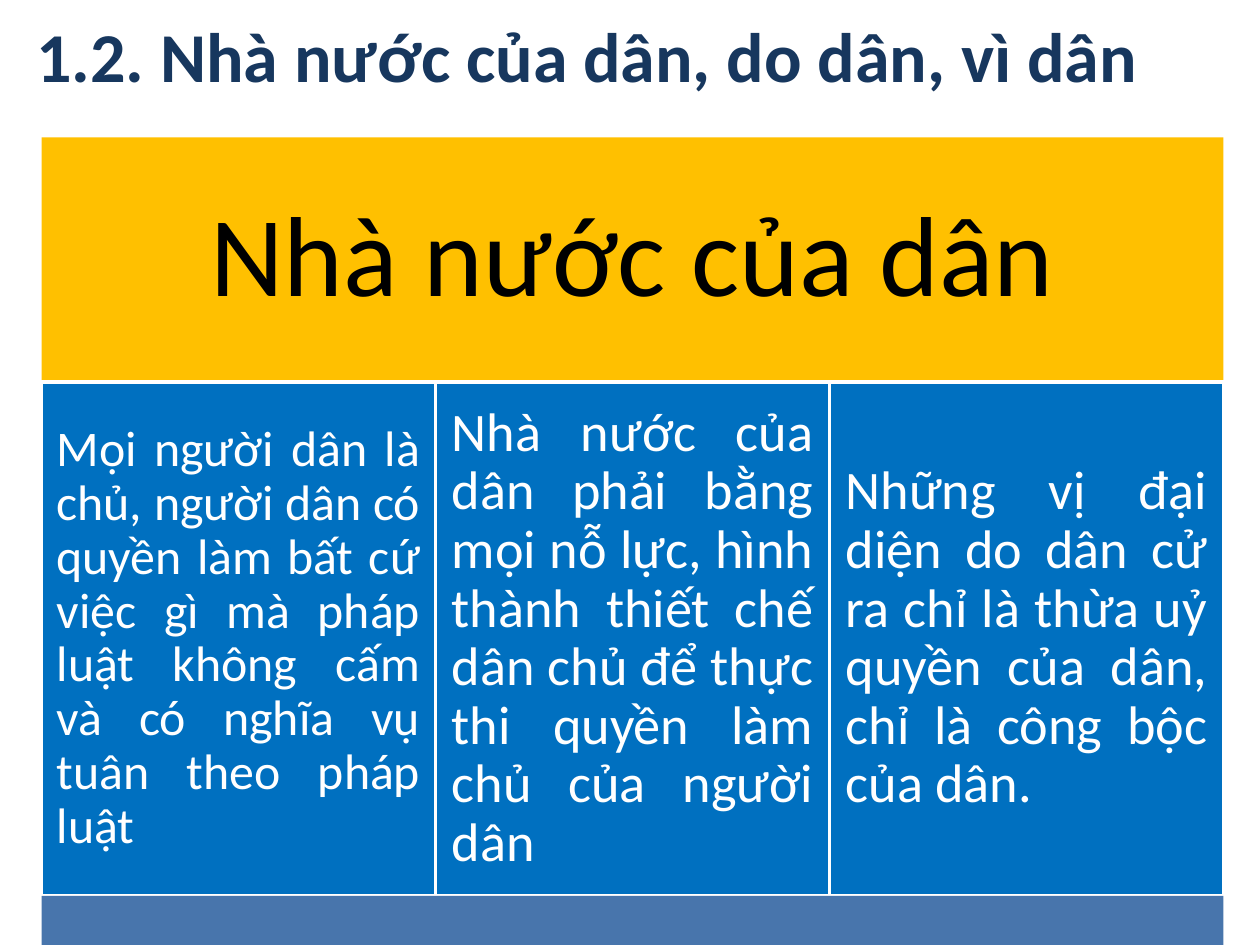
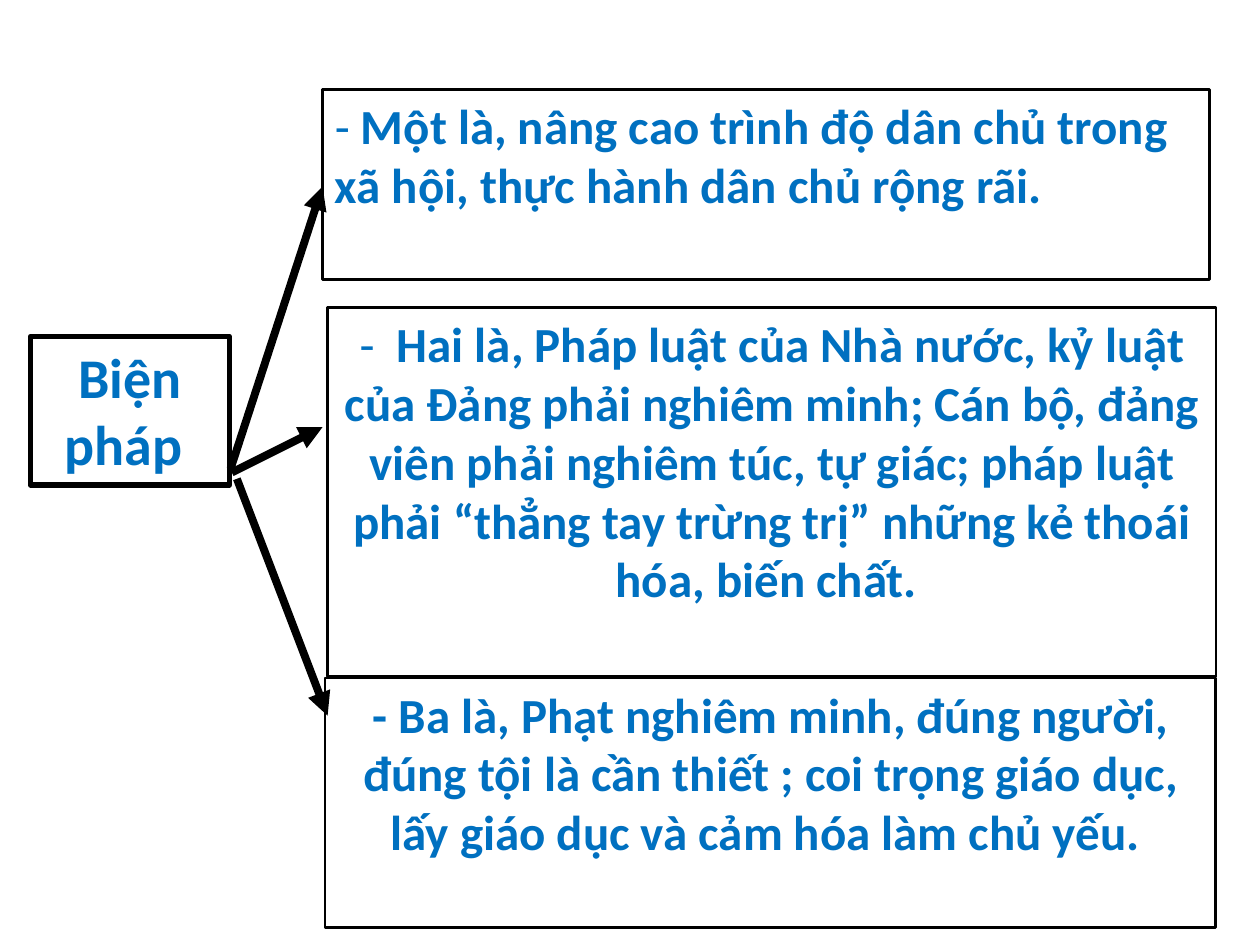
from pptx import Presentation
from pptx.dml.color import RGBColor
from pptx.enum.shapes import MSO_CONNECTOR as Connector, MSO_SHAPE as Shape
from pptx.enum.text import MSO_ANCHOR as Anchor, PP_ALIGN as Align
from pptx.oxml.ns import qn
from pptx.util import Inches, Pt
from lxml import etree

FONT = "Calibri"
NAVY, BLUE, STEEL, GOLD = "17375E", "0070C0", "4875AC", "FFC000"
BLACK, WHITE = "000000", "FFFFFF"


def color(hex_code):
    return RGBColor.from_string(hex_code)


def add_panel(page, area, fill=None, line=None, width=1.5):
    """Add a flat rectangle; area is left, top, width, height in inches."""
    panel = page.shapes.add_shape(Shape.RECTANGLE, *map(Inches, area))
    panel.shadow.inherit = False
    if fill:
        panel.fill.solid()
        panel.fill.fore_color.rgb = color(fill)
    else:
        panel.fill.background()
    if line:
        panel.line.color.rgb = color(line)
        panel.line.width = Pt(width)
    else:
        panel.line.fill.background()
    return panel


def write(box, runs, size, ink, align=Align.LEFT, anchor=Anchor.TOP, inset=None, spacing=None):
    """Fill a box with one paragraph; runs are pairs of text and bold."""
    frame = box.text_frame
    frame.word_wrap = True
    frame.vertical_anchor = anchor
    if inset is not None:
        frame.margin_left = frame.margin_right = Inches(inset)
        frame.margin_top = frame.margin_bottom = Inches(inset)
    para = frame.paragraphs[0]
    para.alignment = align
    para.line_spacing = spacing
    para.font.name = FONT
    para.font.size = Pt(size)
    para.font.color.rgb = color(ink)
    for text, bold in runs:
        span = para.add_run()
        span.text = text
        span.font.name = FONT
        span.font.size = Pt(size)
        span.font.bold = bold
        span.font.color.rgb = color(ink)


def add_title(page, text, area):
    box = page.shapes.add_textbox(*map(Inches, area))
    write(box, [(text, True)], 40, NAVY)


def add_arrow(page, start, end):
    arrow = page.shapes.add_connector(Connector.STRAIGHT, *map(Inches, start + end))
    arrow.line.color.rgb = color(BLACK)
    arrow.line.width = Pt(4.5)
    etree.SubElement(arrow.line._get_or_add_ln(), qn("a:tailEnd"), type="triangle")
    etree.SubElement(arrow._element.spPr, qn("a:effectLst"))


def add_column_chart_table(page, area, heading, columns):
    """Stack a heading, equal columns of text and a base band in the area."""
    left, top, width, height = area
    heading_height, base_height = 1.94, 0.45
    column_top = top + heading_height
    column_width = width / len(columns)
    column_height = height - heading_height - base_height

    banner = add_panel(page, (left, top, width, heading_height), GOLD)
    write(banner, [(heading, False)], 65, BLACK, Align.CENTER, Anchor.MIDDLE, 0.27, 0.9)
    for index, (text, size, inset) in enumerate(columns):
        column_left = left + index * column_width
        column = add_panel(page, (column_left, column_top, column_width, column_height),
                           BLUE, WHITE, 2)
        write(column, [(text, False)], size, WHITE, Align.JUSTIFY, Anchor.MIDDLE, inset, 0.9)
    add_panel(page, (left, column_top + column_height, width, base_height), STEEL)


def build_state_slide(page):
    add_column_chart_table(page, (0.33, 1.09, 9.38, 6.47), "Nhà nước của dân", [
        ("Mọi người dân là chủ, người dân có quyền làm bất cứ việc gì mà pháp luật "
         "không cấm và có nghĩa vụ tuân theo pháp luật", 28.5, 0.12),
        ("Nhà nước của dân phải bằng mọi nỗ lực, hình thành thiết chế dân chủ để "
         "thực thi quyền làm chủ của người dân", 31, 0.13),
        ("Những vị đại diện do dân cử ra chỉ là thừa uỷ quyền của dân, chỉ là "
         "công bộc của dân.", 31, 0.13),
    ])
    add_title(page, "1.2. Nhà nước của dân, do dân, vì dân", (0.19, 0.05, 9.81, 0.77))


def build_measures_slide(page):
    topic = add_panel(page, (0.24, 2.67, 1.58, 1.18), line=BLACK, width=3)
    write(topic, [("Biện pháp ", True)], 32, BLUE, Align.CENTER)

    measures = [
        ((2.56, 0.71, 7.04, 1.51), Align.LEFT, [
            ("- ", False),
            ("Một là, nâng cao trình độ dân chủ trong xã hội, thực hành dân chủ "
             "rộng rãi.", True)]),
        ((2.6, 2.44, 7.05, 2.93), Align.CENTER, [
            ("-  ", False),
            ("Hai là, Pháp luật của Nhà nước, kỷ luật của Đảng phải nghiêm minh; "
             "Cán bộ, đảng viên phải nghiêm túc, tự giác; pháp luật phải “thẳng tay "
             "trừng trị” những kẻ thoái hóa, biến chất. ", True)]),
        ((2.58, 5.38, 7.07, 1.98), Align.CENTER, [
            ("- Ba là, Phạt nghiêm minh, đúng người, đúng tội là cần thiết ; coi trọng "
             "giáo dục, lấy giáo dục và cảm hóa làm chủ yếu. ", True)]),
    ]
    for area, align, runs in measures:
        write(add_panel(page, area, line=BLACK), runs, 28, BLUE, align)

    arrows = [((1.83, 3.72), (2.56, 1.48)),
              ((1.84, 3.75), (2.56, 3.39)),
              ((1.88, 3.8), (2.6, 5.68))]
    for start, end in arrows:
        add_arrow(page, start, end)


def main():
    deck = Presentation()
    deck.slide_width, deck.slide_height = Inches(10), Inches(7.5)
    for build in (build_state_slide, build_measures_slide):
        build(deck.slides.add_slide(deck.slide_layouts[6]))
    deck.save("out.pptx")


if __name__ == "__main__":
    main()
